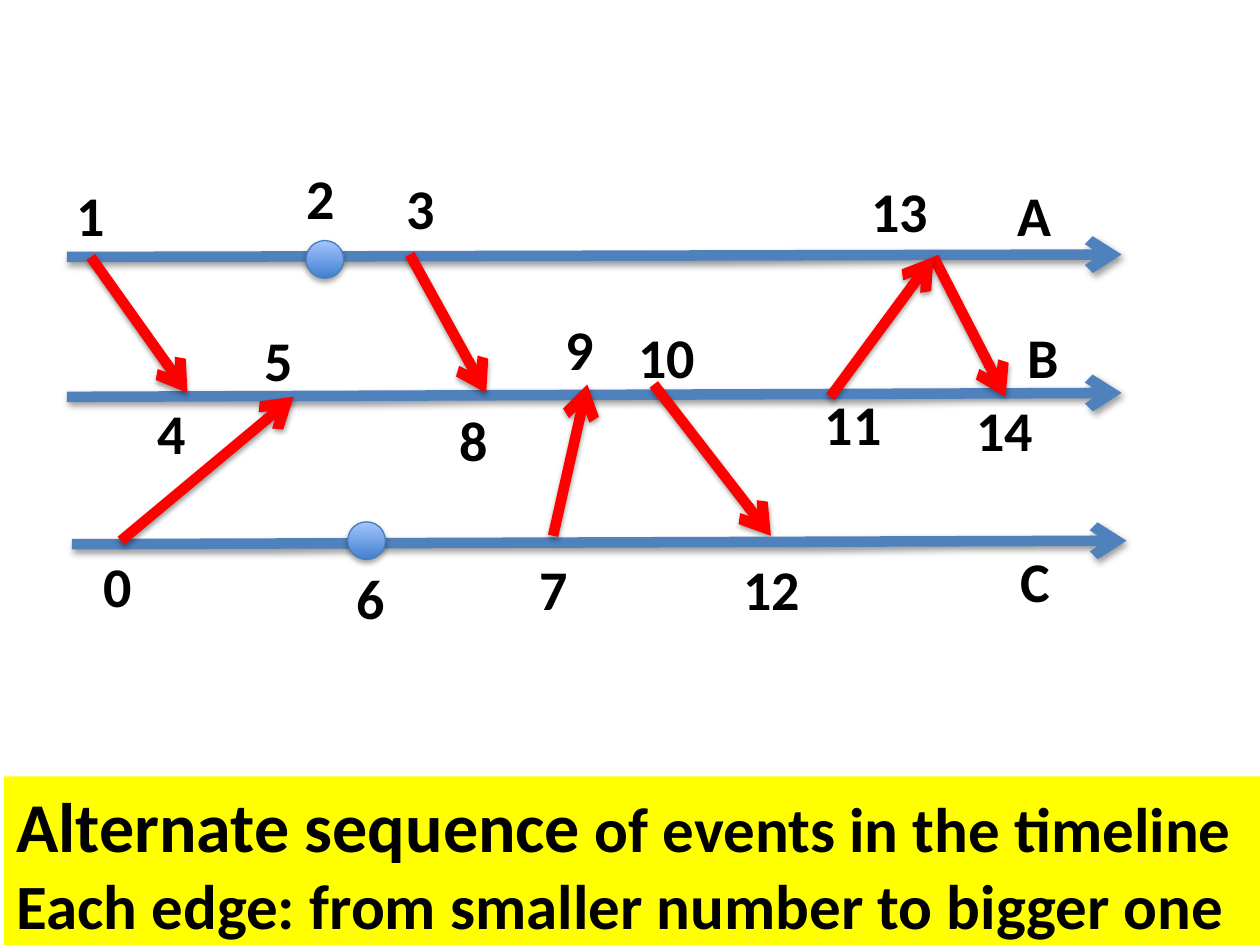
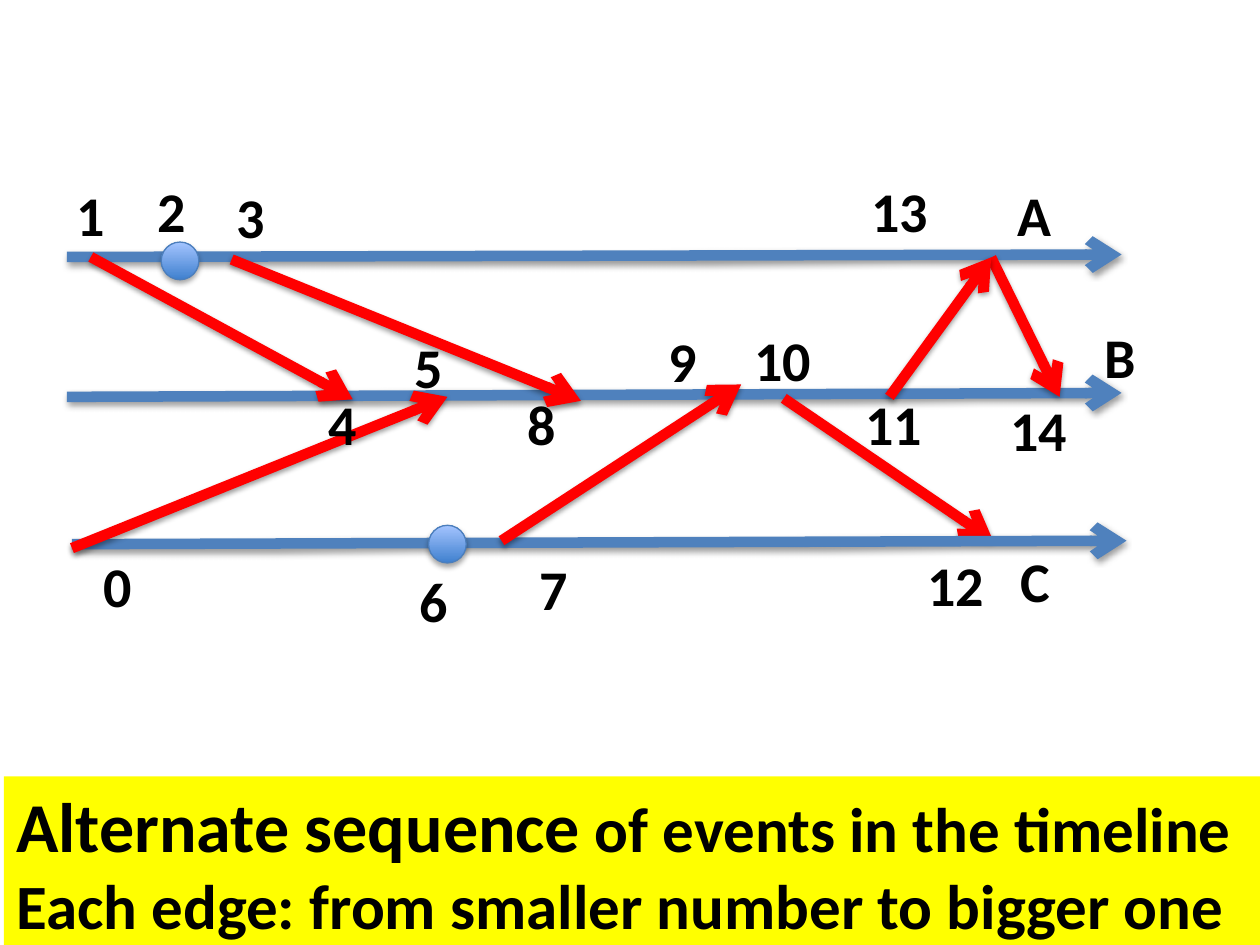
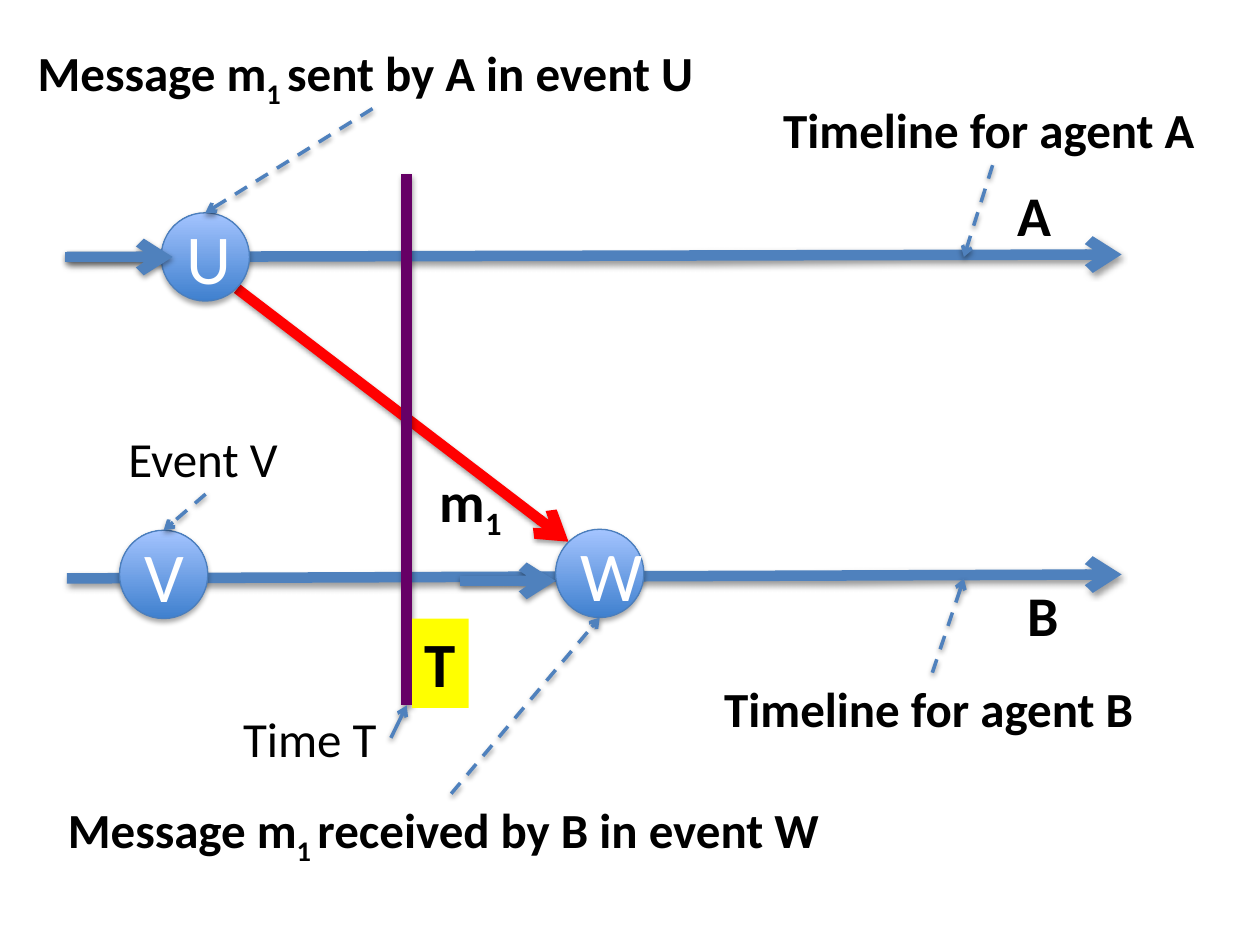
import lxml.etree
import pptx
import pptx.dml.color
import pptx.enum.dml
import pptx.enum.shapes
import pptx.enum.text
import pptx.oxml.ns
import pptx.util

Cm, Pt = pptx.util.Cm, pptx.util.Pt
qn = pptx.oxml.ns.qn

COLORS = {"lane": "4F81BD", "message": "FF0000", "time": "660066", "band": "FFFF00",
          "text": "000000", "event_text": "FFFFFF", "event_edge": "4B7EBC",
          "event_low": "3F80CE", "event_high": "A4C4FF", "shadow": "000000"}
LABEL_FRAME = {"word_wrap": False,
               "auto_size": pptx.enum.text.MSO_AUTO_SIZE.SHAPE_TO_FIT_TEXT}
TOP, BOTTOM, RIGHT = 0, 2, 3

# Lane ends, in cm
LANES = {"A": ((1.35, 5.18), (22.61, 5.13)),
         "B": ((1.35, 8.0), (22.61, 7.92)),
         "C": ((1.45, 10.97), (22.71, 10.9))}
LANE_LABELS = {"A": (20.27, 3.51), "B": (20.47, 6.38), "C": (20.32, 10.9)}

# Event number: point on its lane, then label corner, in cm
FIRST_ORDER = {
    0: (2.44, 10.9, 1.83, 11.0), 1: (1.83, 5.18, 1.3, 3.51), 2: (6.55, 5.23, 5.92, 3.18),
    3: (8.26, 5.13, 7.95, 3.38), 4: (3.78, 7.92, 2.92, 7.9), 5: (5.92, 8.0, 5.08, 6.43),
    6: (7.39, 10.9, 6.93, 11.23), 7: (11.15, 10.8, 10.62, 11.05),
    8: (9.8, 7.92, 9.02, 8.05), 9: (11.84, 7.75, 11.15, 6.22),
    10: (13.18, 7.75, 12.62, 6.38), 11: (16.74, 8.0, 16.38, 7.72),
    12: (15.54, 10.8, 14.73, 11.05), 13: (18.82, 5.18, 17.32, 3.43),
    14: (20.27, 8.0, 19.43, 7.85)}
SECOND_ORDER = FIRST_ORDER | {
    0: (1.45, 11.05, 1.83, 11.0), 2: (3.63, 5.26, 2.92, 3.43), 3: (4.67, 5.23, 4.52, 3.56),
    4: (7.11, 8.05, 6.38, 7.72), 5: (9.02, 8.0, 8.1, 6.58), 6: (9.02, 10.97, 8.2, 11.3),
    7: (10.11, 10.9, 10.62, 11.05), 8: (11.71, 8.08, 10.39, 7.72),
    9: (14.94, 7.75, 13.23, 6.45), 10: (15.8, 8.03, 14.96, 6.43),
    11: (17.93, 8.0, 17.2, 7.72), 12: (20.02, 10.9, 18.44, 10.97),
    13: (19.98, 5.19, 17.32, 3.43), 14: (21.36, 8.0, 20.12, 7.85)}
MESSAGES = {"A": [(1, 4), (3, 8), (13, 14)], "B": [(10, 12), (11, 13)], "C": [(0, 5), (7, 9)]}
LOCAL_EVENTS = (2, 6)


def rgb(name):
    return pptx.dml.color.RGBColor.from_string(COLORS[name])


class Diagram:
    font = "Calibri"

    def __init__(self):
        self.deck = pptx.Presentation()
        self.deck.slide_width, self.deck.slide_height = Cm(25.4), Cm(19.05)
        self.slide = None

    def new_slide(self):
        self.slide = self.deck.slides.add_slide(self.deck.slide_layouts[6])

    def add_shadow(self, shape, alpha, distance):
        """Soft shadow straight below the shape."""
        effects = lxml.etree.SubElement(shape._element.spPr, qn("a:effectLst"))
        outer = lxml.etree.SubElement(effects, qn("a:outerShdw"), blurRad=str(Pt(3.1)),
                                      dist=str(Pt(distance)), dir="5400000", rotWithShape="0")
        color = lxml.etree.SubElement(outer, qn("a:srgbClr"), val=COLORS["shadow"])
        lxml.etree.SubElement(color, qn("a:alpha"), val=str(alpha * 1000))

    def text_run(self, paragraph, text, size, color="text", bold=True, subscript=False):
        run = paragraph.add_run()
        run.text = text
        font_format = {"name": self.font, "size": Pt(size), "bold": bold}
        for key, value in font_format.items():
            setattr(run.font, key, value)
        run.font.color.rgb = rgb(color)
        if subscript:
            run._r.get_or_add_rPr().set("baseline", "-25000")

    def label(self, lines, x, y, width=None, size=32, height=1.63, bold=True, fill=None):
        """lines is a string, or a list of paragraphs made of (text, run format) pairs."""
        if isinstance(lines, str):
            width = width or 0.51 + 0.58 * len(lines)
            lines = [[(lines, {})]]
        box = self.slide.shapes.add_textbox(Cm(x), Cm(y), Cm(width), Cm(height))
        frame = box.text_frame
        for key, value in LABEL_FRAME.items():
            setattr(frame, key, value)
        if fill:
            box.fill.solid()
            box.fill.fore_color.rgb = rgb(fill)
        for index, runs in enumerate(lines):
            paragraph = frame.add_paragraph() if index else frame.paragraphs[0]
            for text, run_format in runs:
                self.text_run(paragraph, text, **({"size": size, "bold": bold} | run_format))
        return box

    def line(self, start, end, color="lane", width=6, dashed=False, head=True):
        points = [Cm(value) for value in (*start, *end)]
        connector = self.slide.shapes.add_connector(
            pptx.enum.shapes.MSO_CONNECTOR.STRAIGHT, *points)
        connector.line.color.rgb = rgb(color)
        connector.line.width = Pt(width)
        if dashed:
            connector.line.dash_style = pptx.enum.dml.MSO_LINE.DASH
        if head:
            outline = connector._element.spPr.get_or_add_ln()
            lxml.etree.SubElement(outline, qn("a:tailEnd"), type="arrow")
        self.add_shadow(connector, 38, 1.6)
        return connector

    def event(self, x, y, diameter=0.76, name=None):
        corner = Cm(x - diameter / 2), Cm(y - diameter / 2)
        circle = self.slide.shapes.add_shape(
            pptx.enum.shapes.MSO_SHAPE.OVAL, *corner, Cm(diameter), Cm(diameter))
        circle.fill.gradient()
        circle.fill.gradient_angle = 90
        for stop, color in zip(circle.fill.gradient_stops, ("event_low", "event_high")):
            stop.color.rgb = rgb(color)
        circle.line.color.rgb = rgb("event_edge")
        circle.line.width = Pt(0.75)
        self.add_shadow(circle, 35, 1.8)
        if name:
            paragraph = circle.text_frame.paragraphs[0]
            paragraph.alignment = pptx.enum.text.PP_ALIGN.CENTER
            self.text_run(paragraph, name, 40, "event_text", bold=False)
        return circle

    def note(self, lines, x, y, width, side, target, bold=True, dashed=True):
        """Caption with a pointer to a point, or to the top of an event."""
        caption = self.label(lines, x, y, width, size=28, height=1.45, bold=bold)
        is_point = isinstance(target, tuple)
        pointer = self.line((x, y), target if is_point else (x, y), width=2, dashed=dashed)
        pointer.begin_connect(caption, side)
        if not is_point:
            pointer.end_connect(target, TOP)

    def sequence(self, events, lane_labels):
        """Three lanes with numbered events and the messages between them."""
        self.new_slide()
        for lanes in ("AB", "C"):
            for lane in lanes:
                self.line(*LANES[lane])
            for lane in lanes:
                for sent, received in MESSAGES[lane]:
                    self.line(events[sent][:2], events[received][:2], "message")
        for number in LOCAL_EVENTS:
            self.event(*events[number][:2])
        for number, place in events.items():
            self.label(str(number), *place[2:])
        for lane, corner in lane_labels.items():
            self.label(lane, *corner, width=1.15)
        self.label([[("Alternate sequence", {"size": 40}), (" of events in the timeline", {})],
                    [("Each edge: from smaller number to bigger one", {})]],
                   0.08, 15.65, 25.32, size=36, height=3.51, fill="band")

    def message_across_time(self):
        """One message from A to B that crosses time T."""
        self.new_slide()
        # Lanes, message and events
        self.line(*LANES["A"])
        self.line((1.35, 11.66), (22.61, 11.58))
        self.line((4.78, 5.82), (11.46, 10.92), "message")
        self.event(12.09, 11.56, 1.78, "W")
        event_u = self.event(4.14, 5.18, 1.78, "U")
        event_v = self.event(3.3, 11.58, 1.78, "V")
        self.line((1.32, 5.18), (3.48, 5.18))
        self.line((9.27, 11.71), (11.2, 11.71))
        self.label("A", *LANE_LABELS["A"], width=1.19)
        self.label("B", 20.47, 11.58, width=1.14)
        self.label([[("m", {}), ("1", {"subscript": True})]], 8.61, 9.27, 1.83)
        # Time T
        self.line((8.2, 3.51), (8.2, 14.22), "time", head=False)
        self.label("T", 8.31, 12.47, 1.14, size=36, height=1.8, fill="band")
        # Captions
        message = [("Message m", {}), ("1 ", {"subscript": True})]
        self.note([message + [("sent by A in event U", {})]],
                  0.51, 0.74, 14, BOTTOM, event_u)
        self.note([message + [("received by B in event W", {})]],
                  1.12, 16, 15.95, TOP, (12.09, 12.45))
        self.note("Timeline for agent A", 15.54, 1.88, 8.94, BOTTOM, (19.43, 5.18))
        self.note("Timeline for agent B", 14.35, 13.56, 8.89, TOP, (19.43, 11.66))
        self.note("Event V", 2.34, 8.51, 3.61, BOTTOM, event_v, bold=False)
        self.note("Time T", 4.65, 14.15, 3.23, RIGHT, (8.2, 14.22), bold=False, dashed=False)


def main():
    diagram = Diagram()
    diagram.sequence(FIRST_ORDER, LANE_LABELS)
    diagram.sequence(SECOND_ORDER, LANE_LABELS | {"B": (22.02, 6.38)})
    diagram.message_across_time()
    diagram.deck.save("out.pptx")


if __name__ == "__main__":
    main()
